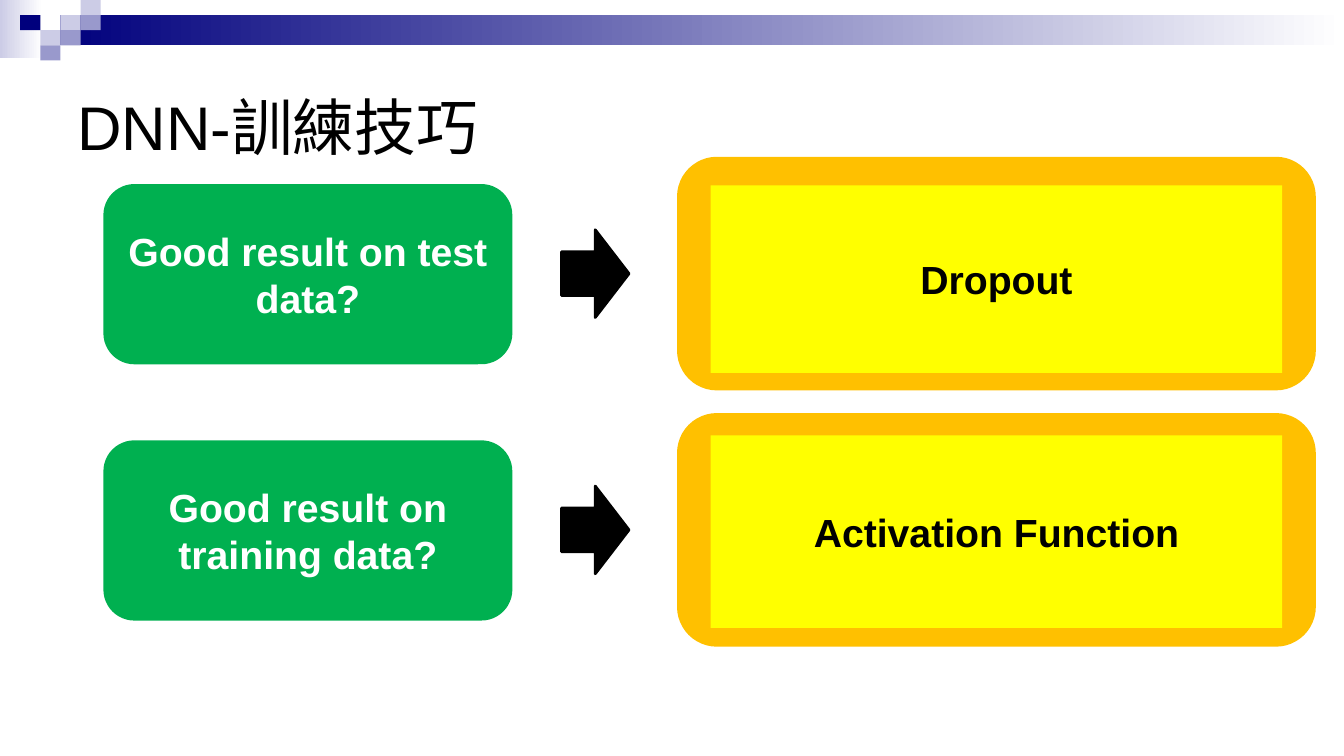
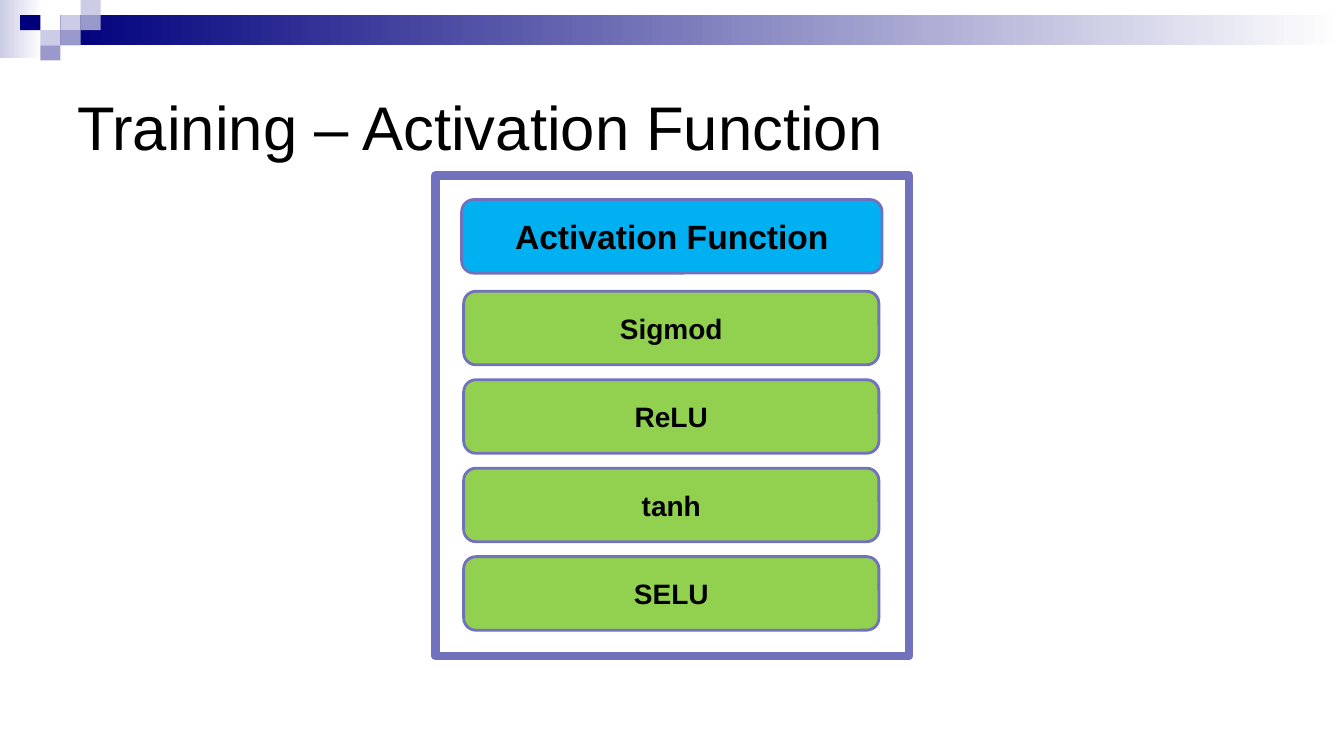
from pptx import Presentation
from pptx.dml.color import RGBColor
from pptx.enum.shapes import MSO_SHAPE
from pptx.enum.text import MSO_ANCHOR, PP_ALIGN
from pptx.util import Inches, Pt

RECTANGLE = MSO_SHAPE.RECTANGLE
ROUNDED = MSO_SHAPE.ROUNDED_RECTANGLE
ARROW = MSO_SHAPE.RIGHT_ARROW
MIDDLE = MSO_ANCHOR.MIDDLE
LEFT, CENTER = PP_ALIGN.LEFT, PP_ALIGN.CENTER

SLIDE_WIDTH, SLIDE_HEIGHT = Inches(13.33), Inches(7.5)
BLANK_LAYOUT = 6
FONT = "Arial"
BLACK, WHITE = "000000", "FFFFFF"
NAVY, LAVENDER, PALE, VIOLET = "00007D", "9999CC", "CCCCE6", "7171BD"
GREEN, ORANGE, YELLOW = "00B050", "FFC000", "FFFF00"
SKY, LIME = "00B0F0", "92D050"

BAND_COLUMN, BAND_ROW = 1.5, 2
BAND_GRADIENTS = [((0, 0, 3.15, 7.73), PALE), ((4.5, 2, 95.5, 4), NAVY)]
BAND_CELLS = [
    (3, 1, PALE), (4, 0, PALE), (4, 1, LAVENDER), (2, 2, PALE),
    (1, 1, NAVY), (3, 2, LAVENDER), (2, 3, LAVENDER),
]

TECHNIQUES = [
    ("Good result on test data?", "Dropout", 24.53, 24.8),
    ("Good result on training data?", "Activation Function", 57.6, 25.47),
]
TECHNIQUE_PITCH = 33.9
FUNCTIONS = ["Sigmod", "ReLU", "tanh", "SELU"]
FUNCTION_PITCH = 11.7


def color(hex_value):
    """Return the colour for a hex string."""
    return RGBColor.from_string(hex_value)


def place(left, top, width, height):
    """Turn percentages of the slide into lengths."""
    return (
        int(SLIDE_WIDTH * left / 100), int(SLIDE_HEIGHT * top / 100),
        int(SLIDE_WIDTH * width / 100), int(SLIDE_HEIGHT * height / 100),
    )


def write(shape, text, size, text_color=BLACK, bold=True, alignment=CENTER):
    """Write one formatted paragraph into a shape."""
    frame = shape.text_frame
    frame.word_wrap = True
    frame.vertical_anchor = MIDDLE
    paragraph = frame.paragraphs[0]
    paragraph.alignment = alignment
    run = paragraph.add_run()
    run.text = text
    run.font.color.rgb = color(text_color)
    for name, value in {"name": FONT, "size": Pt(size), "bold": bold}.items():
        setattr(run.font, name, value)


def add_box(slide, kind, box, fill=None, line=None, line_width=2):
    """Add a preset shape with an optional fill and outline."""
    shape = slide.shapes.add_shape(kind, *place(*box))
    shape.shadow.inherit = False
    if fill:
        shape.fill.solid()
        shape.fill.fore_color.rgb = color(fill)
    else:
        shape.fill.background()
    if line:
        shape.line.color.rgb = color(line)
        shape.line.width = Pt(line_width)
    else:
        shape.line.fill.background()
    return shape


def add_fade(slide, box, start):
    """Add a strip that fades to white from left to right."""
    fill = add_box(slide, RECTANGLE, box).fill
    fill.gradient()
    fill.gradient_angle = 0
    for stop, position, hex_value in zip(fill.gradient_stops, (0, 1), (start, WHITE)):
        stop.position = position
        stop.color.rgb = color(hex_value)


def add_slide(presentation, title):
    """Add a slide with the shared band and title."""
    slide = presentation.slides.add_slide(presentation.slide_layouts[BLANK_LAYOUT])
    for box, start in BAND_GRADIENTS:
        add_fade(slide, box, start)
    for column, row, fill in BAND_CELLS:
        box = (column * BAND_COLUMN, row * BAND_ROW, BAND_COLUMN, BAND_ROW)
        add_box(slide, RECTANGLE, box, fill)
    title_box = slide.shapes.add_textbox(*place(5, 6.67, 90, 20))
    write(title_box, title, 44, bold=False, alignment=LEFT)
    return slide


def add_technique(slide, row, question, answer, answer_top, answer_height):
    """Add one row: question, arrow and answer."""
    offset = row * TECHNIQUE_PITCH
    box = (7.8, 24.53 + offset, 30.22, 23.47)
    write(add_box(slide, ROUNDED, box, GREEN, GREEN), question, 28, WHITE)
    add_box(slide, ROUNDED, (50.48, 20.93 + offset, 47.32, 30.53), ORANGE, ORANGE)
    box = (52.88, answer_top, 42.52, answer_height)
    write(add_box(slide, RECTANGLE, box, YELLOW), answer, 28)
    add_box(slide, ARROW, (41.78, 30.4 + offset, 5.02, 11.6), BLACK, BLACK)


def add_function_list(slide):
    """Add the framed list of activation functions."""
    add_box(slide, RECTANGLE, (32.4, 23.2, 35.25, 63.6), line=VIOLET, line_width=6)
    heading = add_box(slide, ROUNDED, (34.35, 26.4, 31.28, 9.73), SKY, VIOLET)
    write(heading, "Activation Function", 24)
    for row, name in enumerate(FUNCTIONS):
        box = (34.5, 38.53 + row * FUNCTION_PITCH, 30.9, 9.73)
        write(add_box(slide, ROUNDED, box, LIME, VIOLET), name, 20)


def main():
    """Build and save the presentation."""
    presentation = Presentation()
    presentation.slide_width = SLIDE_WIDTH
    presentation.slide_height = SLIDE_HEIGHT
    slide = add_slide(presentation, "DNN-訓練技巧")
    for row, technique in enumerate(TECHNIQUES):
        add_technique(slide, row, *technique)
    add_function_list(add_slide(presentation, "Training – Activation Function"))
    presentation.save("out.pptx")


if __name__ == "__main__":
    main()
